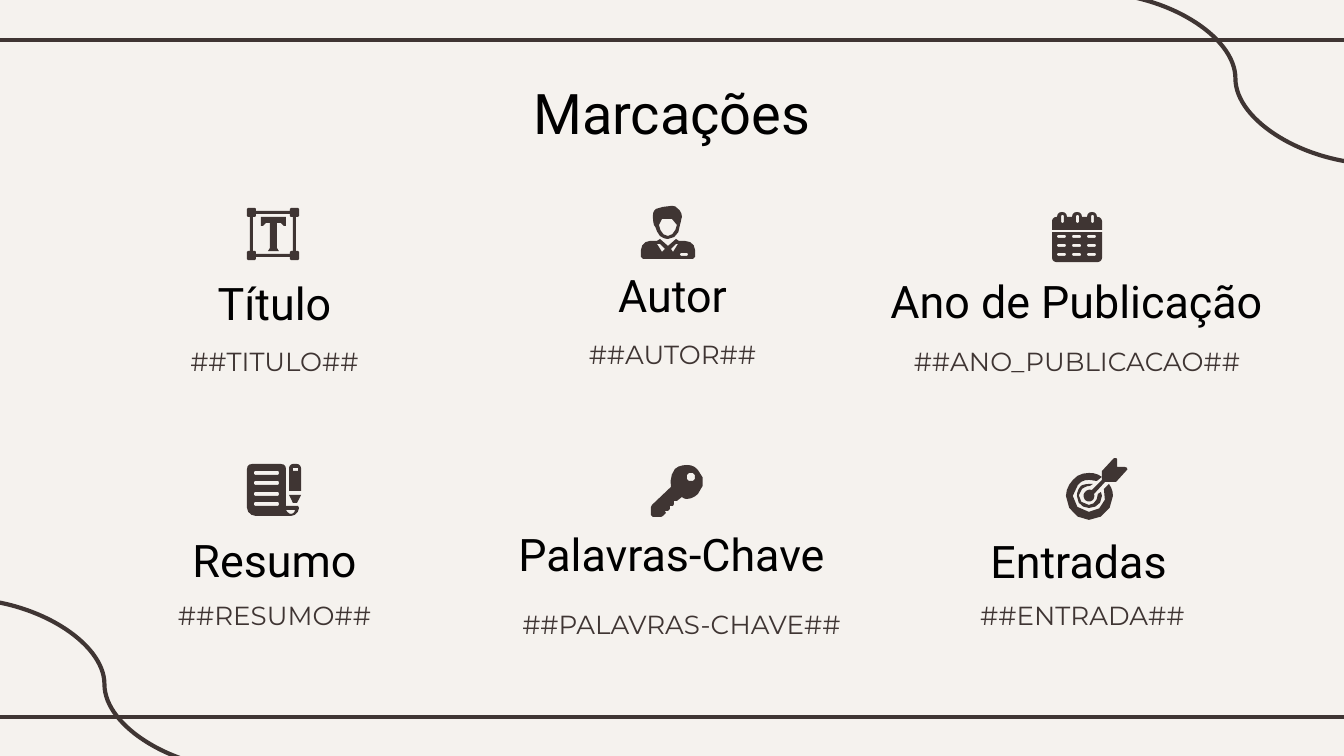
from dataclasses import dataclass

from lxml.etree import SubElement
from pptx import Presentation
from pptx.dml.color import RGBColor
from pptx.enum.shapes import MSO_CONNECTOR
from pptx.enum.text import MSO_ANCHOR, MSO_AUTO_SIZE, PP_ALIGN
from pptx.oxml.ns import qn
from pptx.util import Emu, Pt

SCALE = 9144000 / 1344  # EMU in one px
WIDTH, HEIGHT = 1344, 756
CREAM = RGBColor(0xF5, 0xF2, 0xEE)
BROWN = RGBColor(0x3F, 0x35, 0x33)
BLACK = RGBColor(0, 0, 0)
INSET = 13
COLUMNS = (118, 484, 876)
ROWS = (206, 458)
CURVE_STEPS = 3


def px(length):
    return Emu(round(length * SCALE))


def block(left, top, width, height, cut=0):
    """Outline of a rectangle whose corners are cut off."""
    right, bottom = left + width, top + height
    corners = [
        (left + cut, top), (right - cut, top), (right, top + cut), (right, bottom - cut),
        (right - cut, bottom), (left + cut, bottom), (left, bottom - cut), (left, top + cut),
    ]
    return list(dict.fromkeys(corners))


def calendar_top():
    outline = [(0, 18), (0, 9), (0, 7, 2, 5, 4, 5)]
    for left in (5, 20, 35):
        outline += [(left, 5), (left, 2, left + 2, 0, left + 5, 0),
                    (left + 8, 0, left + 10, 2, left + 10, 5)]
    outline += [(46, 5), (48, 5, 50, 7, 50, 9), (50, 18)]
    return [outline] + [block(left, 3, 3, 8, 1) for left in (9, 24, 39)]


# Each icon is a list of shapes, and each shape a list of outlines.
# In an outline a pair is a corner and a 6-tuple is a cubic curve.
LETTER = [
    [block(x, y, 9, 9, 1) for x in (0, 43) for y in (0, 43)]
    + [block(9, y, 34, 3) for y in (3, 46)]
    + [block(x, 9, 3, 34) for x in (3, 46)],
    [[(14, 9), (39, 9), (39, 18), (37, 18), (34, 15), (30, 15), (30, 40), (32, 43),
      (21, 43), (23, 40), (23, 15), (19, 15), (16, 18), (14, 18)]],
]
PERSON = [
    [[(31, 13), (36, 19), (35, 24, 32, 30, 27, 30), (22, 30, 19, 25, 18, 19), (21, 13)],
     [(30, 0), (22, 1), (15, 3), (13, 4, 12, 7, 12, 9),
      (12, 12, 12, 15, 13, 19), (15, 20, 15, 26, 19, 30), (22, 32, 24, 33, 27, 33),
      (34, 33, 39, 27, 39, 19), (40, 17, 40, 13, 41, 11), (41, 7, 39, 4, 36, 2),
      (35, 0, 32, 0, 30, 0)]],
    [[(19, 33), (16, 35), (9, 35), (4, 35, 0, 39, 0, 44), (0, 51), (2, 53),
      (52, 53), (54, 51), (54, 44), (54, 39, 50, 35, 44, 35),
      (38, 35), (35, 33), (27, 40)],
     [(19, 38), (24, 43), (21, 46), (16, 38)],
     [(35, 38), (37, 38), (32, 46), (30, 43)],
     block(39, 47, 8, 3, 1)],
]
CALENDAR = [
    [[(0, 20), (50, 20), (50, 46), (50, 48, 48, 50, 46, 50), (4, 50), (2, 50, 0, 48, 0, 46)]]
    + [block(x, y, 9, 3, 1) for x in (5, 20, 35) for y in (23, 32, 41)],
    calendar_top(),
]
SCROLL = [
    [[(5, 0), (2, 0, 0, 2, 0, 5), (0, 44), (0, 48, 4, 52, 9, 52), (44, 52),
      (48, 52, 52, 48, 52, 44), (51, 42), (39, 42), (39, 5), (39, 2, 37, 0, 34, 0)],
     [(48, 46), (48, 48, 46, 50, 44, 50), (42, 50, 40, 48, 39, 46)]]
    + [block(7, y, 25, 4, 1) for y in (7, 17, 28, 38)],
    [[(42, 31), (54, 31), (50, 39), (46, 39)]],
    [[(46, 0), (50, 0), (52, 0, 54, 2, 54, 4), (54, 27), (42, 27), (42, 4),
      (42, 2, 44, 0, 46, 0)],
     block(46, 4, 5, 3)],
]
KEY = [
    [block(36, 8, 8, 8, 2),
     [(36, 0), (32, 0, 27, 1, 24, 4), (20, 9, 19, 16, 20, 22), (1, 40), (0, 42), (0, 50),
      (2, 52), (10, 52), (12, 51), (15, 48), (14, 46), (17, 46), (19, 44),
      (19, 41), (22, 41), (23, 39), (23, 36), (26, 36), (31, 32),
      (32, 33, 34, 34, 36, 34), (40, 34, 44, 32, 47, 29), (54, 22, 54, 11, 47, 5),
      (44, 1, 40, 0, 36, 0)]],
]
TARGET = [
    [[(50, 0), (48, 0), (36, 13), (36, 22), (26, 32), (23, 31, 21, 32, 19, 34),
      (17, 36, 17, 39, 19, 42), (21, 44, 25, 44, 27, 42), (28, 40, 29, 38, 28, 36),
      (39, 24), (50, 24), (60, 13), (62, 12, 62, 9, 59, 9), (51, 9), (51, 1)]],
    [[(23, 26), (20, 26, 16, 27, 15, 28), (12, 31, 11, 35, 11, 38),
      (11, 46, 17, 50, 23, 50), (30, 50, 36, 46, 36, 38), (35, 34),
      (32, 36), (32, 42, 28, 47, 23, 47), (13, 47, 10, 36, 16, 31),
      (19, 29, 21, 28, 24, 28), (27, 26)]],
    [[(23, 15), (17, 15, 11, 17, 7, 22), (3, 26, 0, 32, 0, 38), (0, 51, 11, 62, 23, 62),
      (36, 62, 47, 51, 47, 38), (47, 34, 46, 30, 43, 26), (38, 31),
      (43, 42, 35, 54, 23, 54), (9, 54, 1, 36, 12, 27), (15, 23, 19, 22, 23, 22),
      (26, 22, 28, 23, 31, 23), (36, 19), (32, 16, 28, 15, 23, 15)]],
]


@dataclass
class Card:
    """Boxes are relative to the cell at the given column and row."""
    heading: str
    tag: str
    cell: tuple
    icon: list
    icon_at: tuple
    heading_box: tuple
    tag_box: tuple
    anchor: MSO_ANCHOR = MSO_ANCHOR.TOP


CARDS = [
    Card("Título", "##TITULO##", (0, 0), LETTER, (129, 2),
         (0, 57, 313, 66), (0, 126, 313, 47)),
    Card("Autor", "##AUTOR##", (1, 0), PERSON, (157, 0),
         (32, 56, 313, 66), (32, 123, 313, 51), MSO_ANCHOR.MIDDLE),
    Card("Ano de Publicação", "##ANO_PUBLICACAO##", (2, 0), CALENDAR, (176, 6),
         (0, 55, 401, 70), (19, 126, 364, 47)),
    Card("Resumo", "##RESUMO##", (0, 1), SCROLL, (129, 6),
         (0, 62, 313, 65), (0, 128, 313, 48)),
    Card("Palavras-Chave", "##PALAVRAS-CHAVE##", (1, 1), KEY, (167, 7),
         (0, 57, 375, 78), (20, 127, 355, 78), MSO_ANCHOR.MIDDLE),
    Card("Entradas", "##ENTRADA##", (2, 1), TARGET, (190, 0),
         (46, 63, 313, 66), (50, 128, 313, 48)),
]


def write(box, text, size, font="Roboto", color=BLACK, anchor=MSO_ANCHOR.TOP):
    frame = box.text_frame
    frame.word_wrap = True
    frame.auto_size = MSO_AUTO_SIZE.NONE
    frame.vertical_anchor = anchor
    frame.margin_left = frame.margin_right = px(INSET)
    frame.margin_top = frame.margin_bottom = px(INSET)
    para = frame.paragraphs[0]
    para.alignment = PP_ALIGN.CENTER
    span = para.add_run()
    span.text = text
    span.font.size = Pt(size)
    span.font.name = font
    span.font.color.rgb = color


def flatten(outline, left, top):
    """Turn an outline into EMU points, sampling its cubic curves."""
    points = [outline[0]]
    for step in outline[1:]:
        if len(step) == 2:
            points.append(step)
            continue
        x0, y0 = points[-1]
        x1, y1, x2, y2, x3, y3 = step
        for i in range(1, CURVE_STEPS + 1):
            t = i / CURVE_STEPS
            a, b, c, d = (1 - t) ** 3, 3 * t * (1 - t) ** 2, 3 * t * t * (1 - t), t ** 3
            points.append((a * x0 + b * x1 + c * x2 + d * x3, a * y0 + b * y1 + c * y2 + d * y3))
    return [(px(left + x), px(top + y)) for x, y in points]


def draw_icon(page, icon, left, top):
    for outlines in icon:
        first, *others = [flatten(outline, left, top) for outline in outlines]
        builder = page.shapes.build_freeform(*first[0], scale=1.0)
        builder.add_line_segments(first[1:], close=True)
        for points in others:
            builder.move_to(*points[0])
            builder.add_line_segments(points[1:], close=True)
        shape = builder.convert_to_shape()
        shape.shadow.inherit = False
        shape.fill.solid()
        shape.fill.fore_color.rgb = BROWN
        shape.line.fill.background()


def draw_card(page, card):
    column, row = card.cell
    left, top = COLUMNS[column], ROWS[row]

    def text_box(x, y, width, height):
        return page.shapes.add_textbox(px(left + x), px(top + y), px(width), px(height))

    draw_icon(page, card.icon, left + card.icon_at[0], top + card.icon_at[1])
    write(text_box(*card.heading_box), card.heading, 24, anchor=card.anchor)
    write(text_box(*card.tag_box), card.tag, 14, "Montserrat", BROWN, card.anchor)


def draw_frame(page):
    lines = [(MSO_CONNECTOR.STRAIGHT, -11, y, WIDTH + 22, 0) for y in (40, 717)]
    lines += [(MSO_CONNECTOR.CURVE, x, y, 283, 171) for x, y in ((-37, 599), (1094, -7))]
    for kind, left, top, width, height in lines:
        line = page.shapes.add_connector(kind, px(left), px(top), px(left + width), px(top + height))
        line.line.color.rgb = BROWN
        line.line.width = Pt(2.25)
        SubElement(line._element.spPr, qn("a:effectLst"))


def draw_title(page, left, top, width, height):
    title = page.shapes.title
    title.left, title.top, title.width, title.height = map(px, (left, top, width, height))
    write(title, "Marcações", 30)


def main():
    deck = Presentation()
    deck.slide_width, deck.slide_height = px(WIDTH), px(HEIGHT)
    page = deck.slides.add_slide(deck.slide_layouts[5])
    page.background.fill.solid()
    page.background.fill.fore_color.rgb = CREAM
    draw_frame(page)
    draw_title(page, 183, 66, 978, 85)
    for card in CARDS:
        draw_card(page, card)
    deck.save("out.pptx")


if __name__ == "__main__":
    main()
